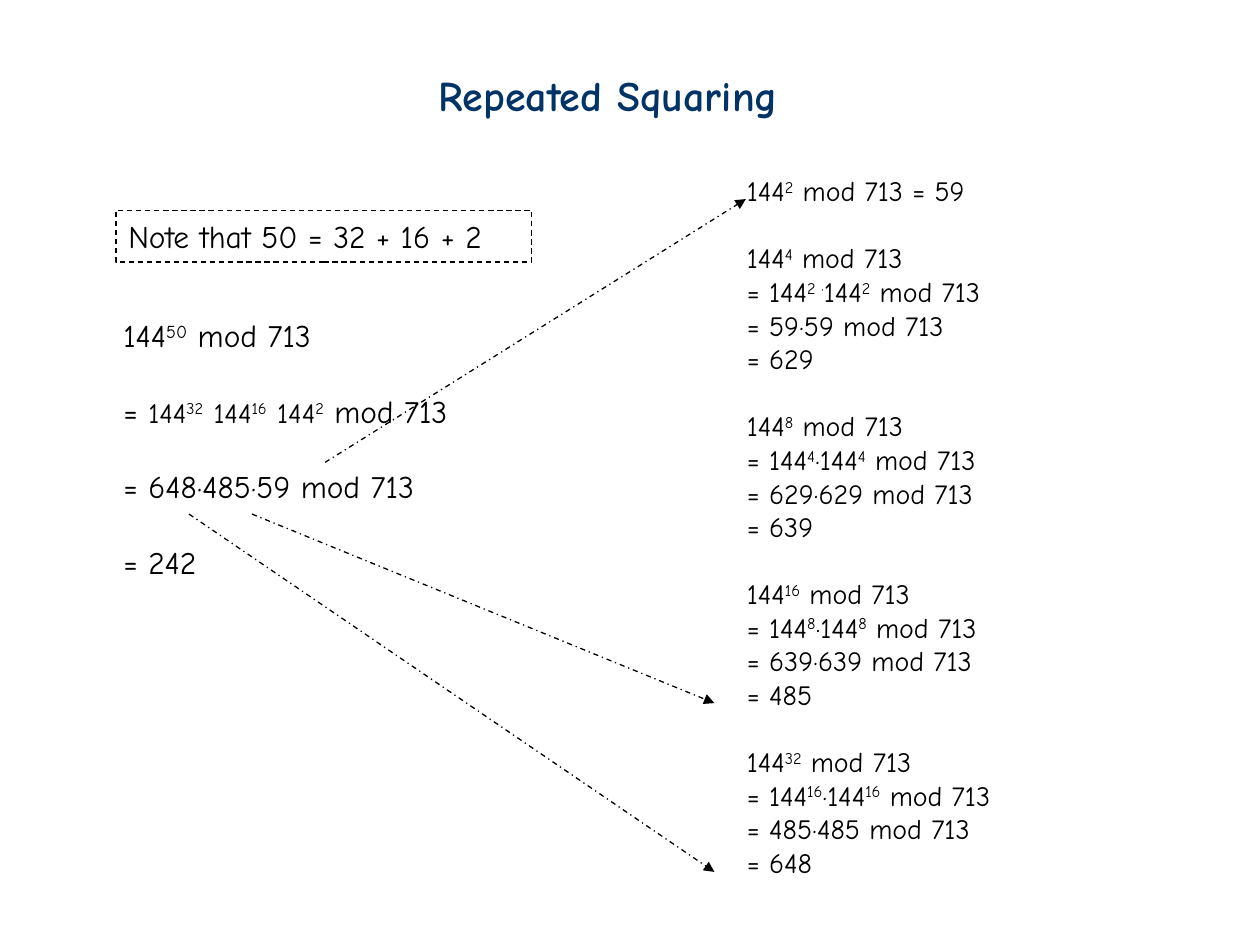
from typing import NamedTuple

from lxml.etree import SubElement
from pptx import Presentation
from pptx.dml.color import RGBColor
from pptx.enum.dml import MSO_LINE
from pptx.enum.shapes import MSO_CONNECTOR, MSO_SHAPE
from pptx.enum.text import MSO_ANCHOR, MSO_AUTO_SIZE, PP_ALIGN
from pptx.oxml.ns import qn
from pptx.util import Inches, Pt

FONT = "Comic Neue"
COLORS = {"title": "003366", "ink": "000000"}


class Piece(NamedTuple):
    text: str
    raised: bool = False
    size: float | None = None


class Line(NamedTuple):
    pieces: list[Piece]
    gap: float = 0  # points above the line


class Arrow(NamedTuple):
    start: tuple[float, float]
    end: tuple[float, float]


class Squaring(NamedTuple):
    exponent: int
    root: int
    result: int


def power(exponent: int, size: float | None = None) -> list[Piece]:
    return [Piece("144", size=size), Piece(str(exponent), True, size)]


def write(frame, lines: list[Line], *, size: float, color: str = "ink",
          bold: bool = False) -> None:
    frame.word_wrap = True
    frame.auto_size = MSO_AUTO_SIZE.SHAPE_TO_FIT_TEXT
    frame.vertical_anchor = MSO_ANCHOR.TOP
    for number, line in enumerate(lines):
        paragraph = frame.add_paragraph() if number else frame.paragraphs[0]
        paragraph.alignment = PP_ALIGN.LEFT
        paragraph.space_before = Pt(line.gap)
        for piece in line.pieces:
            run = paragraph.add_run()
            run.text = piece.text
            run.font.name = FONT
            run.font.size = Pt(piece.size or size)
            run.font.bold = bold
            run.font.color.rgb = RGBColor.from_string(COLORS[color])
            if piece.raised:
                run.font._element.set("baseline", "30000")


def style_line(line, dash: MSO_LINE) -> None:
    line.color.rgb = RGBColor.from_string(COLORS["ink"])
    line.width = Pt(0.75)
    line.dash_style = dash


def draw_arrow(shapes, arrow: Arrow) -> None:
    connector = shapes.add_connector(
        MSO_CONNECTOR.STRAIGHT, *map(Inches, arrow.start + arrow.end))
    style_line(connector.line, MSO_LINE.DASH_DOT)
    SubElement(connector.line._get_or_add_ln(), qn("a:tailEnd"), type="triangle")
    SubElement(connector._element.spPr, qn("a:effectLst"))


def squaring_lines(step: Squaring) -> list[Line]:
    half = power(step.exponent // 2)
    mod = Piece(" mod 713")
    # The first product has its dot raised along with the exponent
    dot = Piece(" ·", True) if step.exponent == 4 else Piece("·")
    return [
        Line([*power(step.exponent), mod], gap=19.2),
        Line([Piece("= "), *half, dot, *half, mod]),
        Line([Piece(f"= {step.root}·{step.root} mod 713")]),
        Line([Piece(f"= {step.result}")]),
    ]


def main() -> None:
    deck = Presentation()
    deck.slide_width, deck.slide_height = Inches(10), Inches(7.5)
    shapes = deck.slides.add_slide(deck.slide_layouts[6]).shapes

    def text_box(left: float, top: float, width: float, height: float):
        return shapes.add_textbox(*map(Inches, (left, top, width, height))).text_frame

    # Title
    write(text_box(3.38, 0.5, 3.2, 0.5), [Line([Piece("Repeated Squaring")])],
          size=24, color="title", bold=True)

    # Reduction of the full power
    gap = 21.6
    reduction = [
        Line([*power(50), Piece(" mod 713")]),
        Line([Piece("= "), *power(32, 16), Piece(" "), *power(16, 16), Piece(" "),
              *power(2, 16), Piece(" mod 713")], gap),
        Line([Piece("= 648·485·59 mod 713")], gap),
        Line([Piece("= 242")], gap),
    ]
    write(text_box(0.88, 2.46, 3.15, 2.2), reduction, size=18)

    # Successive squarings
    residues = [59, 629, 639, 485, 648]
    squarings = [Line([*power(2), Piece(f" mod 713 = {residues[0]}")])]
    for index, (root, result) in enumerate(zip(residues, residues[1:])):
        squarings += squaring_lines(Squaring(4 * 2 ** index, root, result))
    write(text_box(5.83, 1.33, 2.7, 5.72), squarings, size=16)

    # Note on the binary expansion
    note = shapes.add_shape(MSO_SHAPE.RECTANGLE,
                            *map(Inches, (0.92, 1.67, 3.3, 0.41)))
    note.shadow.inherit = False
    note.fill.background()
    style_line(note.line, MSO_LINE.DASH)
    write(note.text_frame, [Line([Piece("Note that 50 = 32 + 16 + 2")])], size=18)

    # Arrows from each factor to its squaring
    for arrow in (
        Arrow((1.5, 4.08), (5.67, 6.92)),
        Arrow((2, 4.08), (5.67, 5.58)),
        Arrow((2.58, 3.67), (5.92, 1.58)),
    ):
        draw_arrow(shapes, arrow)

    deck.save("out.pptx")


if __name__ == "__main__":
    main()
